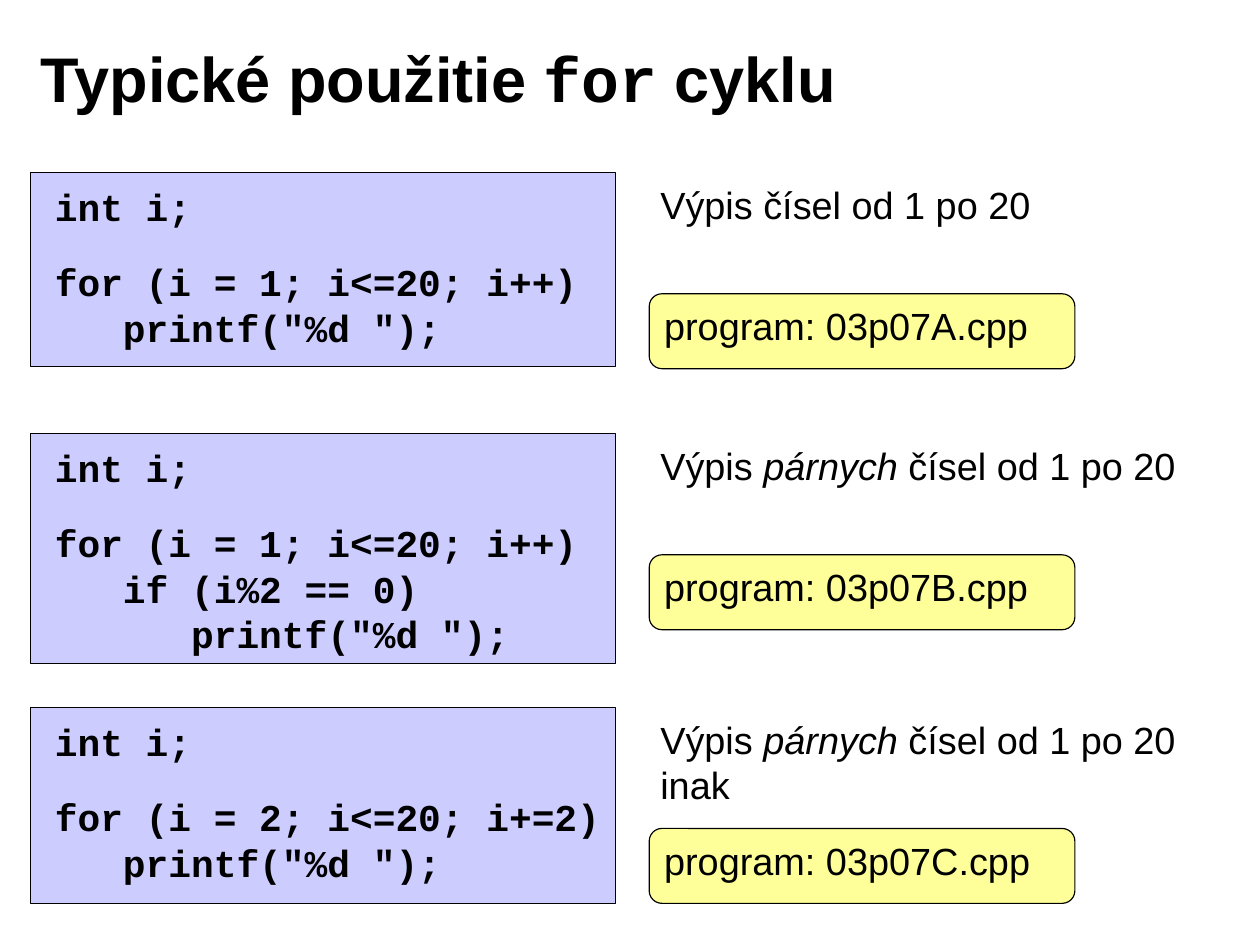
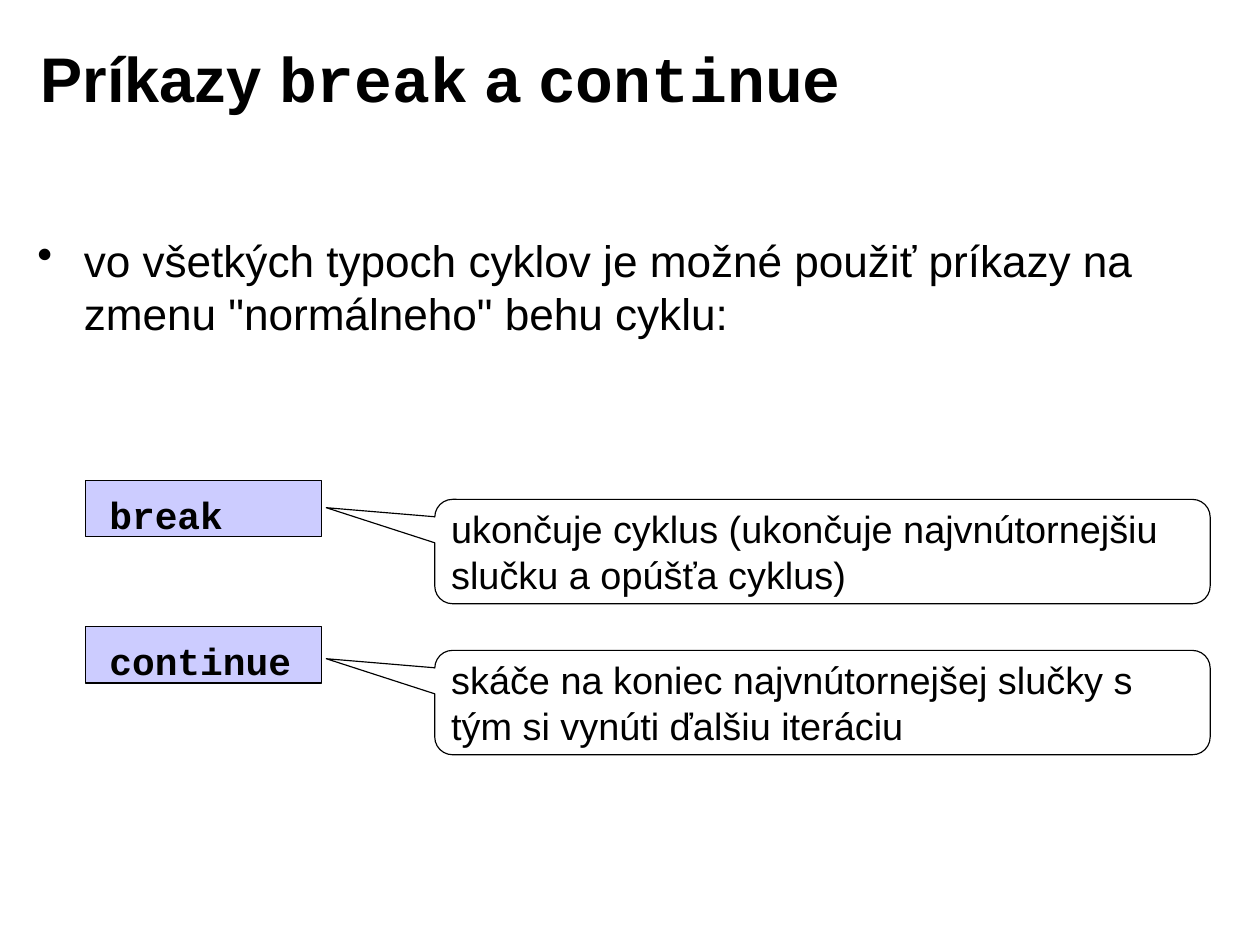
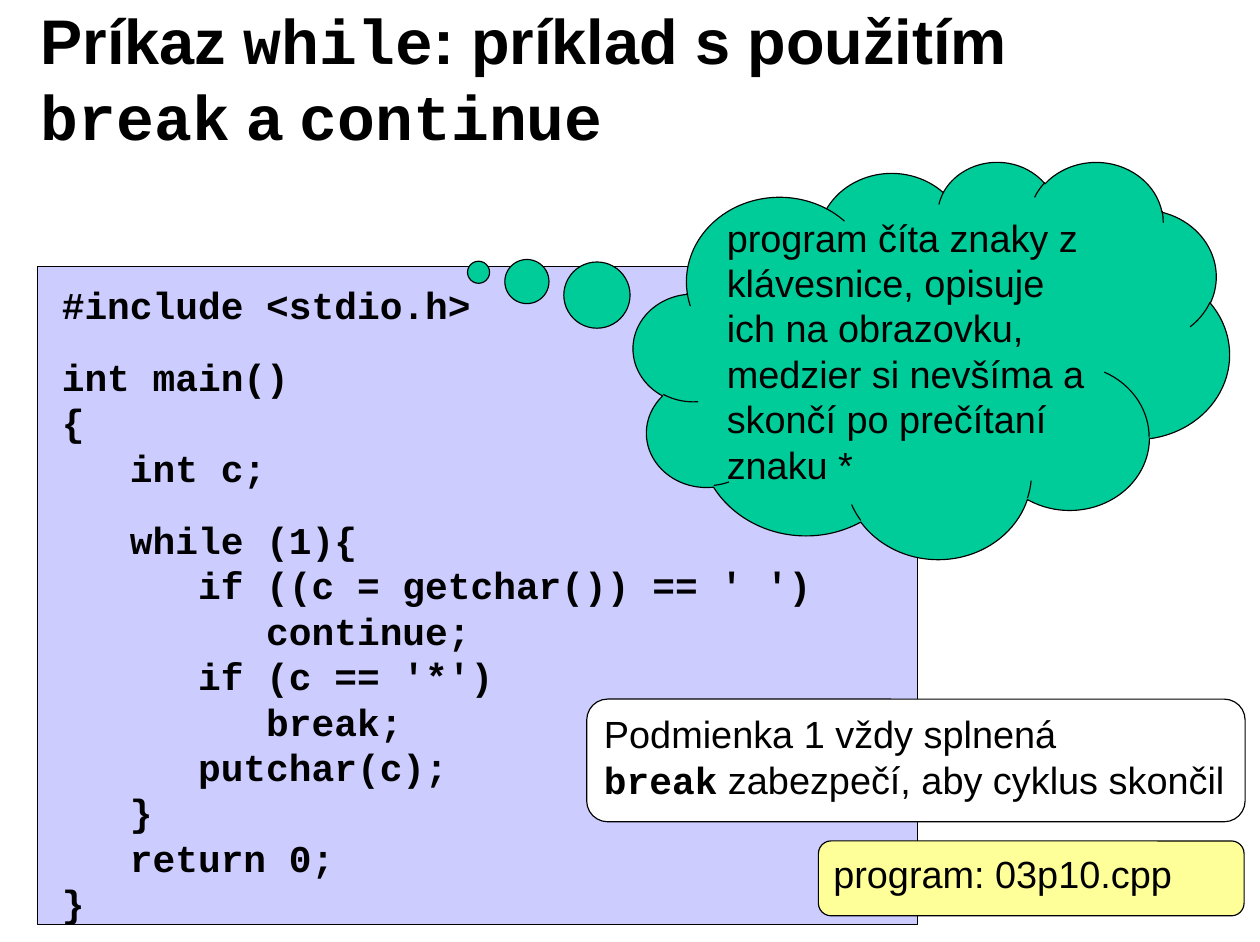
import dataclasses

import lxml.etree
import pptx
import pptx.dml.color
import pptx.enum.shapes
import pptx.enum.text
import pptx.oxml.ns
import pptx.util

Pt = pptx.util.Pt
Shapes = pptx.enum.shapes.MSO_SHAPE
Anchor = pptx.enum.text.MSO_ANCHOR


@dataclasses.dataclass(frozen=True)
class Theme:
    text_font: str = "Arial"
    code_font: str = "Courier New"
    ink: str = "000000"
    paper: str = "FFFFFF"
    code_fill: str = "CCCCFF"
    program_fill: str = "FFFF99"
    cloud_fill: str = "00CC99"
    title_size: float = 40
    body_size: float = 28
    text_size: float = 24
    line_factor: float = 1.2
    line_width: float = 0.75
    corner: float = 0.17
    text_insets: tuple = (7.2, 3.6, 7.2, 3.6)
    heading_insets: tuple = (7.9, 4.3, 7.9, 4.3)


THEME = Theme()


def color(value):
    return pptx.dml.color.RGBColor.from_string(value)


def code(text):
    return text, "code"


def italic(text):
    return text, "italic"


def set_insets(frame, insets):
    frame.margin_left, frame.margin_top, frame.margin_right, frame.margin_bottom = map(Pt, insets)


def add_bullet(paragraph, indent):
    properties = paragraph._p.get_or_add_pPr()
    properties.set("marL", str(Pt(indent)))
    properties.set("indent", str(-Pt(indent)))
    bullet = lxml.etree.SubElement(properties, pptx.oxml.ns.qn("a:buChar"))
    bullet.set("char", "•")


def write(shape, paragraphs, size=THEME.text_size, font=THEME.text_font, bold=False,
          insets=THEME.text_insets, anchor=Anchor.TOP, wrap=True, gaps=None, bullet_indent=0):
    frame = shape.text_frame
    frame.word_wrap = wrap
    frame.vertical_anchor = anchor
    set_insets(frame, insets)
    for index, runs in enumerate(paragraphs):
        paragraph = frame.paragraphs[0] if index == 0 else frame.add_paragraph()
        paragraph.alignment = pptx.enum.text.PP_ALIGN.LEFT
        paragraph.line_spacing = Pt(size * THEME.line_factor)
        if gaps and index in gaps:
            paragraph.space_before = Pt(gaps[index])
        if bullet_indent:
            add_bullet(paragraph, bullet_indent)
        paragraph.font.size = Pt(size)
        paragraph.font.name = font
        paragraph.font.bold = bold
        paragraph.font.color.rgb = color(THEME.ink)
        for item in [runs] if isinstance(runs, str) else runs:
            text, style = (item, "plain") if isinstance(item, str) else item
            run = paragraph.add_run()
            run.text = text
            if style == "code":
                run.font.name = THEME.code_font
                run.font.bold = True
            elif style == "italic":
                run.font.italic = True


def add_box(slide, kind, box, fill, adjustments=()):
    shape = slide.shapes.add_shape(kind, *map(Pt, box))
    shape.shadow.inherit = False
    shape.fill.solid()
    shape.fill.fore_color.rgb = color(fill)
    shape.line.color.rgb = color(THEME.ink)
    shape.line.width = Pt(THEME.line_width)
    for index, value in enumerate(adjustments):
        shape.adjustments[index] = value
    return shape


def add_text(slide, box, paragraphs, **options):
    write(slide.shapes.add_textbox(*map(Pt, box)), paragraphs, **options)


def add_titled_slide(presentation, title):
    slide = presentation.slides.add_slide(presentation.slide_layouts[6])
    add_text(slide, (18, 12.2, 642.2, 73.4), [title], size=THEME.title_size, bold=True,
             insets=THEME.heading_insets, anchor=Anchor.MIDDLE)
    return slide


def add_code_panel(slide, box, lines, gaps=None, top_inset=7.2):
    panel = add_box(slide, Shapes.RECTANGLE, box, THEME.code_fill)
    write(panel, lines, font=THEME.code_font, bold=True,
          insets=(15.4, top_inset, 0, 0), gaps=gaps)


def add_program_label(slide, left, top, file_name):
    label = add_box(slide, Shapes.ROUNDED_RECTANGLE, (left, top, 270, 47.5),
                    THEME.program_fill, [THEME.corner])
    write(label, [f"program: {file_name}"])


def add_example(slide, box, lines, description, file_name):
    left, top, width, height = box
    side_left = left + width + 21.6
    add_code_panel(slide, box, lines, gaps={1: 19})
    add_text(slide, (side_left, top + 2.4, 365, 66), description)
    add_program_label(slide, side_left, top + 77, file_name)


def add_command(slide, left, top, command, explanation, callout_offset):
    add_code_panel(slide, (left, top, 150, 36), [command])
    callout = add_box(slide, Shapes.ROUNDED_RECTANGULAR_CALLOUT,
                      (left + 221.8, top + callout_offset, 491.8, 66.2),
                      THEME.paper, [-0.64, -0.42, THEME.corner])
    write(callout, [explanation], anchor=Anchor.MIDDLE)


def build_for_slide(presentation):
    slide = add_titled_slide(presentation, ["Typické použitie ", code("for"), " cyklu"])
    even_numbers = ["Výpis ", italic("párnych"), " čísel od 1 po 20"]
    examples = [
        (109.4, 123.1,
         ["int i;", "for (i = 1; i<=20; i++)", '   printf("%d ");'],
         ["Výpis čísel od 1 po 20"], "03p07A.cpp"),
        (275, 146.2,
         ["int i;", "for (i = 1; i<=20; i++)", "   if (i%2 == 0)", '      printf("%d ");'],
         [even_numbers], "03p07B.cpp"),
        (448.6, 124.6,
         ["int i;", "for (i = 2; i<=20; i+=2)", '   printf("%d ");'],
         [even_numbers, "inak"], "03p07C.cpp"),
    ]
    for top, height, lines, description, file_name in examples:
        add_example(slide, (19.4, top, 370.8, height), lines, description, file_name)


def build_commands_slide(presentation):
    slide = add_titled_slide(presentation,
                             ["Príkazy ", code("break"), " a ", code("continue")])
    add_text(slide, (15.8, 144, 768.2, 198),
             ['vo všetkých typoch cyklov je možné použiť príkazy na zmenu "normálneho" behu cyklu:'],
             size=THEME.body_size, insets=THEME.heading_insets, bullet_indent=29.5)
    add_command(slide, 54, 304.6, "break",
                "ukončuje cyklus (ukončuje najvnútornejšiu slučku a opúšťa cyklus)", 12.2)
    add_command(slide, 54, 397.4, "continue",
                "skáče na koniec najvnútornejšej slučky s tým si vynúti ďalšiu iteráciu", 15.2)


def build_while_slide(presentation):
    slide = add_titled_slide(presentation,
                             ["Príkaz ", code("while"), ": príklad s použitím ",
                              code("break"), " a ", code("continue")])
    lines = [
        "#include <stdio.h>",
        "int main()",
        "{",
        "   int c;",
        "   while (1){",
        "      if ((c = getchar()) == ' ')",
        "         continue;",
        "      if (c == '*')",
        "         break;",
        "      putchar(c);",
        "   }",
        "   return 0;",
        "}",
    ]
    add_code_panel(slide, (23.8, 169.2, 558, 417.6), lines, gaps={1: 17, 4: 17}, top_inset=9.4)
    cloud = add_box(slide, Shapes.CLOUD_CALLOUT, (401.8, 102.2, 378, 252),
                    THEME.cloud_fill, [-0.76, -0.22])
    write(cloud, ["program číta znaky z klávesnice, opisuje ich na obrazovku, "
                  "medzier si nevšíma a skončí po prečítaní znaku *"], anchor=Anchor.MIDDLE)
    add_program_label(slide, 519.1, 533.5, "03p10.cpp")
    note = add_box(slide, Shapes.ROUNDED_RECTANGLE, (372.2, 443.5, 417.6, 77.8),
                   THEME.paper, [THEME.corner])
    write(note, ["Podmienka 1 vždy splnená",
                 [code("break"), " zabezpečí, aby cyklus skončil"]], wrap=False)


def main():
    presentation = pptx.Presentation()
    presentation.slide_width = Pt(799.2)
    presentation.slide_height = Pt(597.6)
    build_for_slide(presentation)
    build_commands_slide(presentation)
    build_while_slide(presentation)
    presentation.save("out.pptx")


if __name__ == "__main__":
    main()
